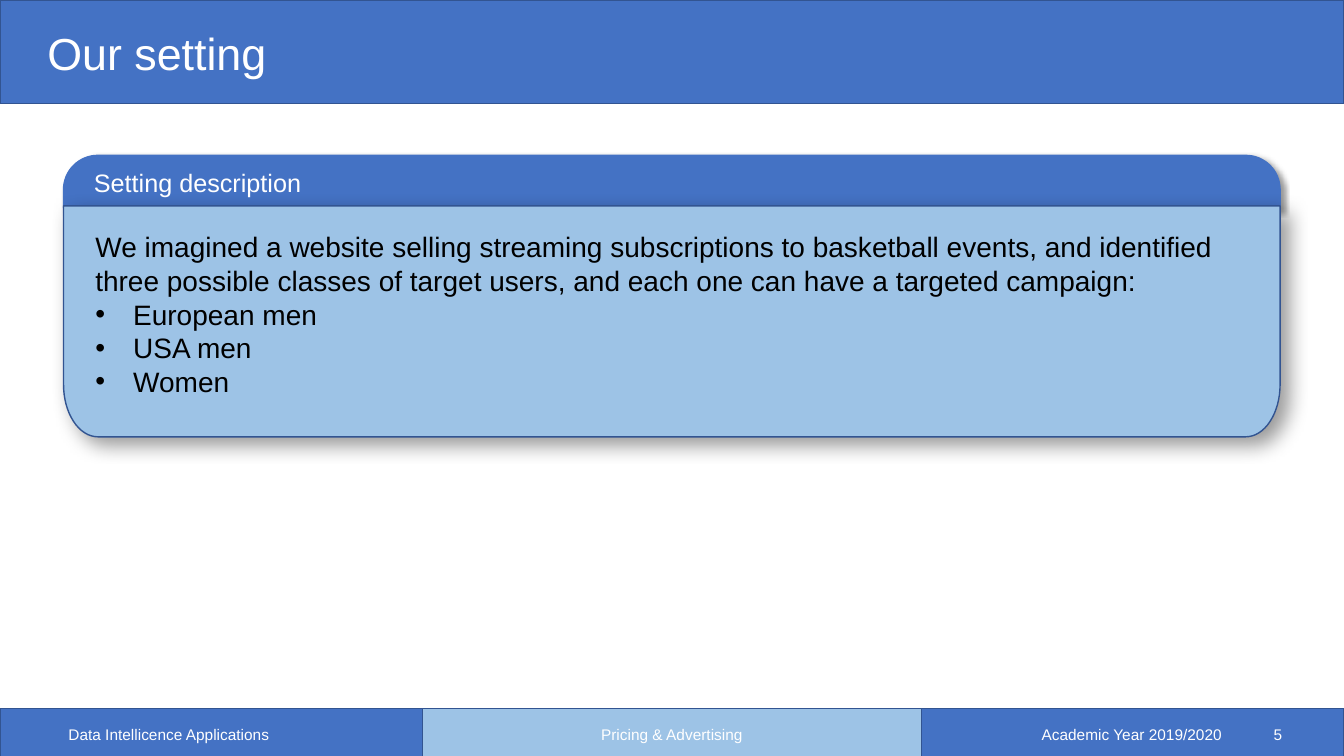
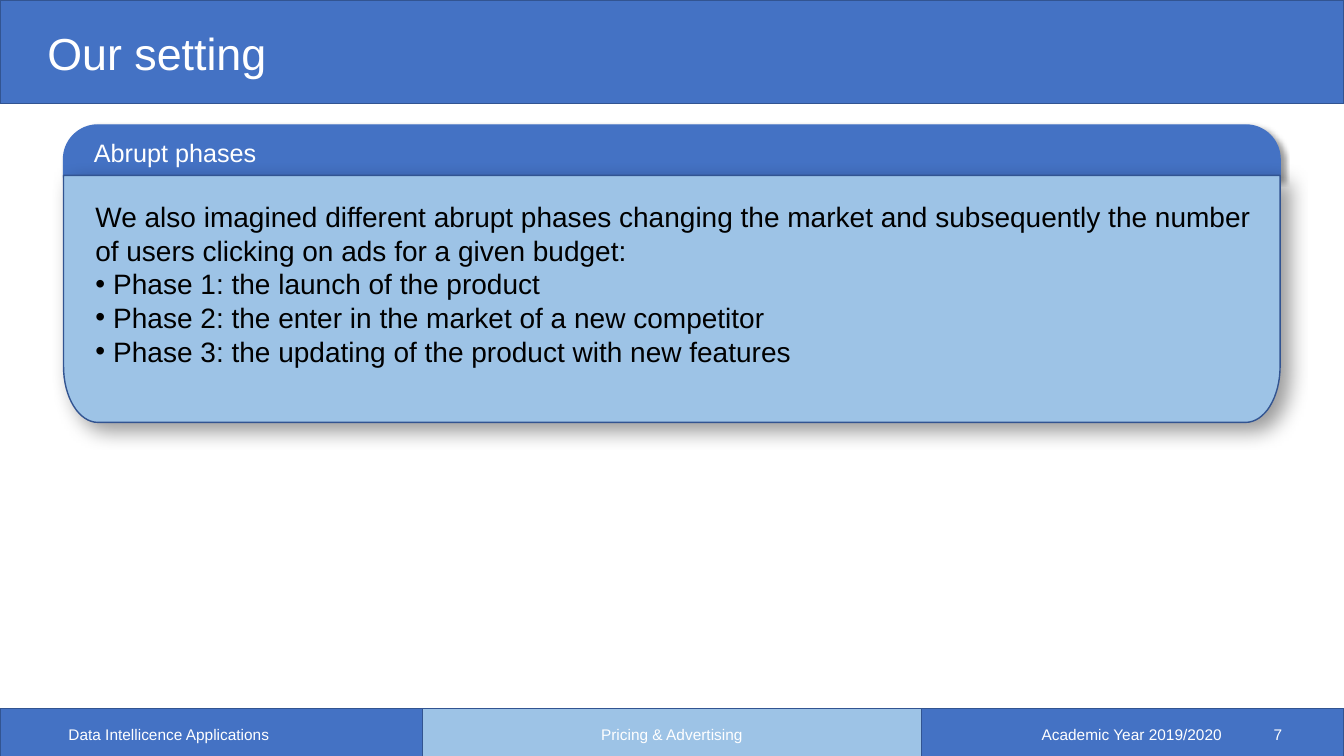
"""Build two slides on the market setting with shared bands, footer and cards."""
from dataclasses import dataclass
from math import cos, pi, sin

from lxml.etree import SubElement
from pptx import Presentation
from pptx.dml.color import RGBColor
from pptx.enum.shapes import MSO_SHAPE
from pptx.enum.text import MSO_ANCHOR, MSO_AUTO_SIZE, PP_ALIGN
from pptx.oxml.ns import qn
from pptx.presentation import Presentation as Deck
from pptx.shapes.autoshape import Shape
from pptx.slide import Slide, SlideLayout
from pptx.text.text import TextFrame
from pptx.util import Pt


@dataclass(frozen=True)
class Theme:
    blue: RGBColor = RGBColor(0x44, 0x72, 0xC4)
    light: RGBColor = RGBColor(0x9D, 0xC3, 0xE6)
    edge: RGBColor = RGBColor(0x32, 0x54, 0x91)
    white: RGBColor = RGBColor(0xFF, 0xFF, 0xFF)
    black: RGBColor = RGBColor(0, 0, 0)
    font: str = "Arial"
    title: int = 32
    body: int = 20
    heading: int = 18
    footer: int = 11


@dataclass(frozen=True)
class Box:
    left: float
    top: float
    width: float
    height: float

    def emu(self) -> tuple[Pt, Pt, Pt, Pt]:
        return Pt(self.left), Pt(self.top), Pt(self.width), Pt(self.height)


@dataclass(frozen=True)
class Band:
    box: Box
    fill: RGBColor


@dataclass(frozen=True)
class Footer:
    text: str
    box: Box
    align: PP_ALIGN


@dataclass(frozen=True)
class Card:
    heading: str
    intro: str
    bullets: tuple[str, ...]
    top: float
    body_height: float
    indent: float
    text_width: float


@dataclass(frozen=True)
class Page:
    title: str
    number: int
    card: Card


THEME = Theme()
WIDTH, HEIGHT = 960, 540
CARD_LEFT, CARD_WIDTH = 45.4, 869
HEADER_HEIGHT, HEADER_STEP = 37.6, 36
CORNER = 24.5
BODY_CORNER_RATIO = 0.2265
ARC_STEPS = 16

BANDS = (
    Band(Box(0, 506, WIDTH, 35), THEME.blue),
    Band(Box(301.7, 506, 356.4, 35), THEME.light),
    Band(Box(0, 0, WIDTH, 74), THEME.blue),
)
FOOTERS = (
    Footer("Data Intellicence Applications", Box(41.8, 515, 216, 19), PP_ALIGN.LEFT),
    Footer("Pricing & Advertising", Box(318, 515, 324, 19), PP_ALIGN.CENTER),
    Footer("Academic Year 2019/2020", Box(664, 515, 216, 19), PP_ALIGN.RIGHT),
)
NUMBER_BOX = Box(880, 515, 43, 19)

PAGES = (
    Page("Our setting", 5, Card(
        "Setting description",
        "We imagined a website selling streaming subscriptions to basketball events, "
        "and identified three possible classes of target users, and each one can have "
        "a targeted campaign:",
        ("European men", "USA men", "Women"),
        111, 165, 27, 838)),
    Page("Our setting", 7, Card(
        "Abrupt phases",
        "We also imagined different abrupt phases changing the market and subsequently "
        "the number of users clicking on ads for a given budget:",
        ("Phase 1: the launch of the product",
         "Phase 2: the enter in the market of a new competitor",
         "Phase 3: the updating of the product with new features"),
        89.3, 176.4, 12.8, 847)),
)


def paint(shape: Shape, fill: RGBColor, line: RGBColor) -> None:
    shape.shadow.inherit = False
    shape.fill.solid()
    shape.fill.fore_color.rgb = fill
    shape.line.color.rgb = line
    shape.line.width = Pt(1)


def format_text(tf: TextFrame, size: float, color: RGBColor,
                align: PP_ALIGN = PP_ALIGN.LEFT) -> None:
    tf.word_wrap = True
    for p in tf.paragraphs:
        p.alignment = align
        for r in p.runs:
            r.font.name = THEME.font
            r.font.size = Pt(size)
            r.font.color.rgb = color


def add_text(s: Slide, text: str, box: Box, size: float, color: RGBColor,
             align: PP_ALIGN = PP_ALIGN.LEFT,
             anchor: MSO_ANCHOR = MSO_ANCHOR.TOP) -> TextFrame:
    tf = s.shapes.add_textbox(*box.emu()).text_frame
    tf.text = text
    tf.vertical_anchor = anchor
    format_text(tf, size, color, align)
    return tf


def add_bands(s: Slide, layout: SlideLayout) -> None:
    tree = layout.shapes.element
    for i, band in enumerate(BANDS):
        sp = s.shapes.add_shape(MSO_SHAPE.RECTANGLE, *band.box.emu())
        paint(sp, band.fill, THEME.edge)
        sp.element.nvSpPr.cNvPr.set("id", str(100 + i))
        tree.insert(2 + i, sp.element)


def add_shadow(shape: Shape, blur: float, distance: float) -> None:
    effects = shape.element.spPr.find(qn("a:effectLst"))
    shadow = SubElement(effects, qn("a:outerShdw"), blurRad=str(Pt(blur)),
                        dist=str(Pt(distance)), dir="2700000", algn="tl",
                        rotWithShape="0")
    color = SubElement(shadow, qn("a:srgbClr"), val=str(THEME.black))
    SubElement(color, qn("a:alpha"), val="40000")


def add_panel(s: Slide, box: Box, corner_height: float, round_top: bool,
              fill: RGBColor, line: RGBColor) -> Shape:
    right, bottom = box.left + box.width, box.top + box.height
    flat, curved = (bottom, box.top) if round_top else (box.top, bottom)
    inward = 1 if round_top else -1
    angles = [pi / 2 * i / ARC_STEPS for i in range(ARC_STEPS + 1)]
    arc = [(CORNER * (1 - cos(a)), curved + inward * corner_height * (1 - sin(a)))
           for a in angles]
    points = [(box.left + dx, y) for dx, y in arc]
    points += [(right - dx, y) for dx, y in reversed(arc)]
    points.append((right, flat))
    builder = s.shapes.build_freeform(Pt(box.left), Pt(flat))
    builder.add_line_segments([(Pt(x), Pt(y)) for x, y in points], close=True)
    sp = builder.convert_to_shape()
    paint(sp, fill, line)
    return sp


def add_bullet(tf: TextFrame, text: str, indent: float) -> None:
    p = tf.add_paragraph()
    p.text = text
    props = p._p.get_or_add_pPr()
    props.set("marL", str(Pt(indent)))
    props.set("indent", str(-Pt(indent)))
    SubElement(props, qn("a:buFont"), typeface=THEME.font)
    SubElement(props, qn("a:buChar"), char="•")


def add_card(s: Slide, card: Card) -> None:
    header = Box(CARD_LEFT, card.top, CARD_WIDTH, HEADER_HEIGHT)
    body = Box(CARD_LEFT, card.top + HEADER_STEP, CARD_WIDTH, card.body_height)
    sp = add_panel(s, header, CORNER, True, THEME.blue, THEME.blue)
    add_shadow(sp, 4, 3)
    sp = add_panel(s, body, body.height * BODY_CORNER_RATIO, False,
                   THEME.light, THEME.edge)
    add_shadow(sp, 14, 7)
    tf = add_text(s, card.intro, Box(61, body.top + 13.7, card.text_width, 128),
                  THEME.body, THEME.black)
    for bullet in card.bullets:
        add_bullet(tf, bullet, card.indent)
    format_text(tf, THEME.body, THEME.black)
    add_text(s, card.heading, Box(60, card.top + 5, 560, 29), THEME.heading, THEME.white)


def add_title(s: Slide, text: str) -> None:
    title = s.shapes.title
    title.left, title.top, title.width, title.height = Box(26.6, 17, 828, 46).emu()
    tf = title.text_frame
    tf.text = text
    tf.auto_size = MSO_AUTO_SIZE.NONE
    tf.vertical_anchor = MSO_ANCHOR.MIDDLE
    tf.paragraphs[0].line_spacing = 0.9
    format_text(tf, THEME.title, THEME.white)


def add_page(prs: Deck, layout: SlideLayout, page: Page) -> Slide:
    s = prs.slides.add_slide(layout)
    add_title(s, page.title)
    add_card(s, page.card)
    number = Footer(str(page.number), NUMBER_BOX, PP_ALIGN.RIGHT)
    for footer in (*FOOTERS, number):
        add_text(s, footer.text, footer.box, THEME.footer, THEME.white,
                 footer.align, MSO_ANCHOR.MIDDLE)
    return s


def main() -> None:
    prs = Presentation()
    prs.slide_width, prs.slide_height = Pt(WIDTH), Pt(HEIGHT)
    layout = prs.slide_layouts[5]
    slides = [add_page(prs, layout, page) for page in PAGES]
    add_bands(slides[0], layout)
    prs.save("out.pptx")


if __name__ == "__main__":
    main()
